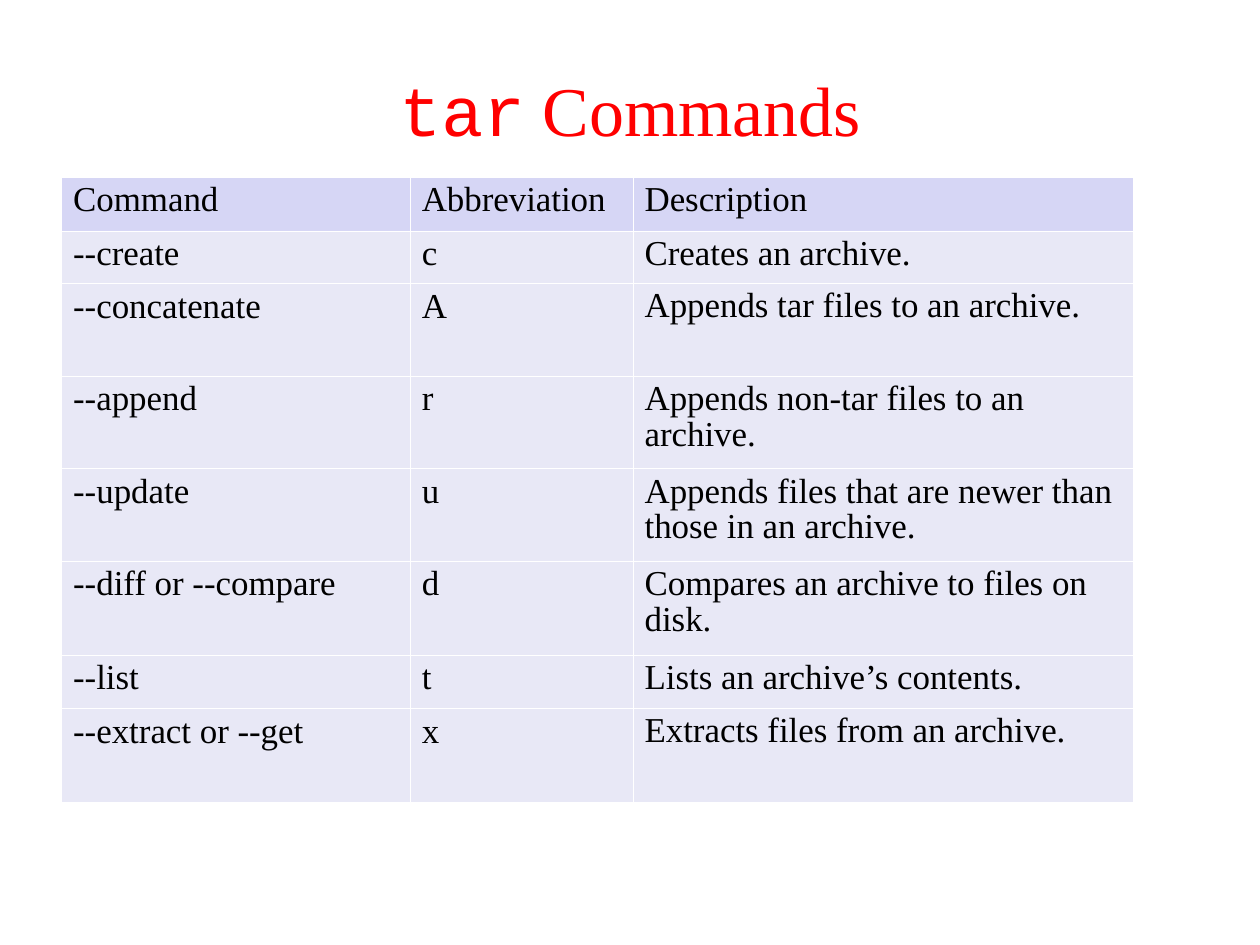
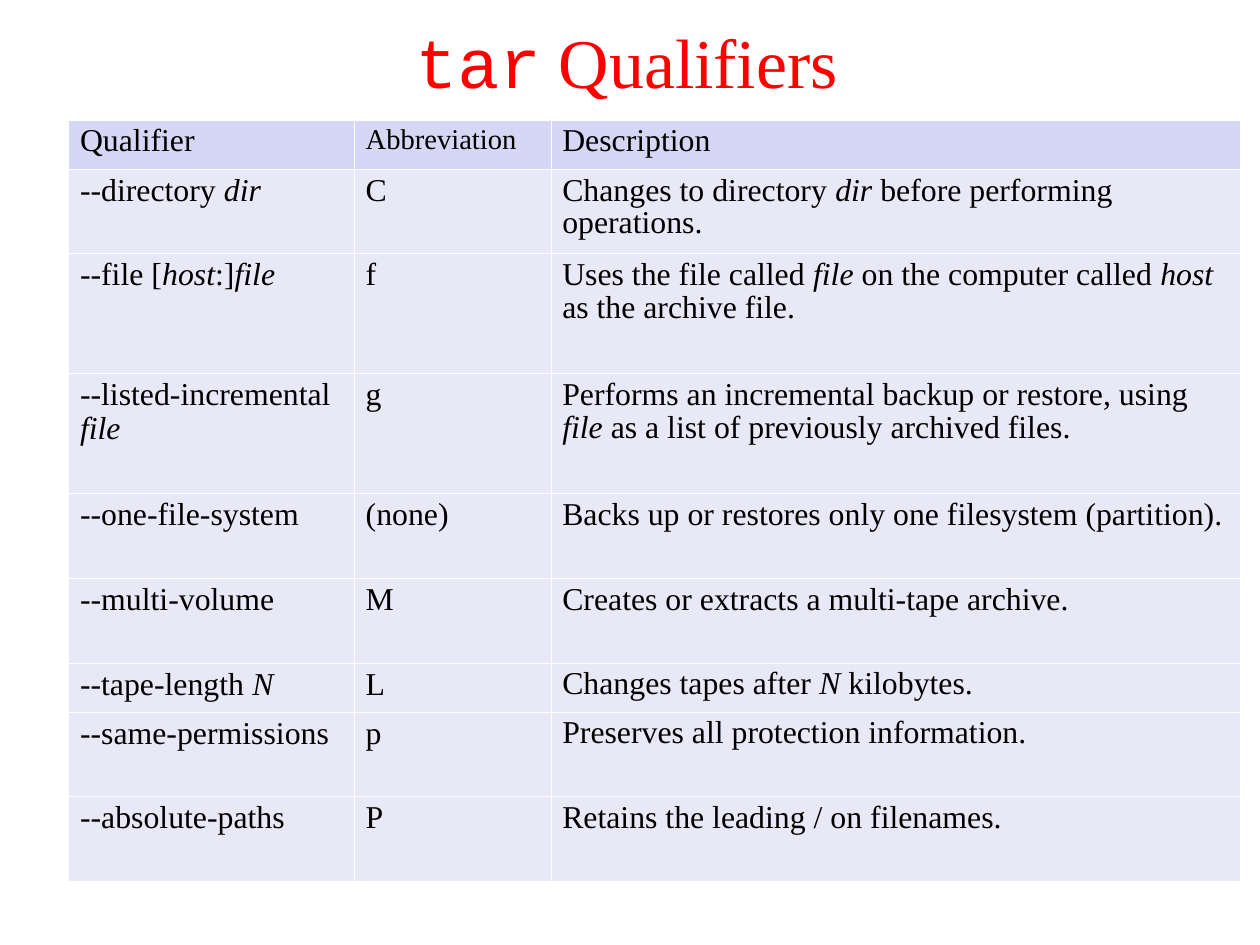
from lxml.etree import SubElement
from pptx import Presentation
from pptx.dml.color import RGBColor
from pptx.enum.text import MSO_ANCHOR, MSO_AUTO_SIZE, PP_ALIGN
from pptx.oxml.ns import qn
from pptx.util import Inches, Pt

# Shared look
COLORS = {"title": "FF0000", "text": "000000", "head": "D6D6F5",
          "body": "E8E8F6", "border": "FFFFFF"}
SERIF, MONO = "Times New Roman", "Courier New"
PAGE_SIZE = (793.75, 595.25)  # points, 28 by 21 cm
TITLE_SIZE = (9.41, 0.73)
TIGHT, LOOSE = 0.93, 0.94

# Slide content: asterisks enclose italic words
COMMANDS = [
    ("Command", "Abbreviation", "Description"),
    ("--create", "c", "Creates an archive."),
    ("--concatenate", "A", "Appends tar files to an archive."),
    ("--append", "r", "Appends non-tar files to an archive."),
    ("--update", "u", "Appends files that are newer than those in an archive."),
    ("--diff or --compare", "d", "Compares an archive to files on disk."),
    ("--list", "t", "Lists an archive’s contents."),
    ("--extract or --get", "x", "Extracts files from an archive."),
]
QUALIFIERS = [
    ("Qualifier", "Abbreviation", "Description"),
    ("--directory *dir*", "C",
     "Changes to directory *dir* before performing operations."),
    ("--file [*host*:]*file*", "f",
     "Uses the file called *file* on the computer called *host* as the archive file."),
    ("--listed-incremental *file*", "g",
     "Performs an incremental backup or restore, using *file* as a list of "
     "previously archived files."),
    ("--one-file-system", "(none)",
     "Backs up or restores only one filesystem (partition)."),
    ("--multi-volume", "M", "Creates or extracts a multi-tape archive."),
    ("--tape-length *N*", "L", "Changes tapes after *N* kilobytes."),
    ("--same-permissions", "p", "Preserves all protection information."),
    ("--absolute-paths", "P", "Retains the leading / on filenames."),
]


def add_run(para, text, color, **style):
    run = para.add_run()
    run.text = text
    for name, value in style.items():
        setattr(run.font, name, value)
    run.font.color.rgb = RGBColor.from_string(COLORS[color])


def set_title(slide, word, left, top):
    title = slide.shapes.title
    width, height = TITLE_SIZE
    place = {"left": left, "top": top, "width": width, "height": height}
    for name, value in place.items():
        setattr(title, name, Inches(value))
    frame = title.text_frame
    format = {"margin_left": 0, "margin_right": 0, "margin_bottom": 0,
              "margin_top": Inches(0.04), "word_wrap": True,
              "auto_size": MSO_AUTO_SIZE.NONE,
              "vertical_anchor": MSO_ANCHOR.MIDDLE}
    for name, value in format.items():
        setattr(frame, name, value)
    para = frame.paragraphs[0]
    para.alignment = PP_ALIGN.CENTER
    para.line_spacing = LOOSE
    for text, font in (("tar", MONO), (f" {word}", SERIF)):
        add_run(para, text, "title", name=font, size=Pt(44))


def add_borders(cell):
    props = cell._tc.get_or_add_tcPr()
    for side in ("lnL", "lnR", "lnT", "lnB"):
        line = SubElement(props, qn(f"a:{side}"), w=str(Pt(0.45)))
        fill = SubElement(line, qn("a:solidFill"))
        SubElement(fill, qn("a:srgbClr"), val=COLORS["border"])


def fill_cell(cell, text, size, shade, spacing):
    add_borders(cell)
    cell.fill.solid()
    cell.fill.fore_color.rgb = RGBColor.from_string(COLORS[shade])
    para = cell.text_frame.paragraphs[0]
    para.line_spacing = spacing
    for index, part in enumerate(text.split("*")):
        if part:
            add_run(para, part, "text", name=SERIF, size=Pt(size),
                    bold=False, italic=index % 2 == 1)


def add_grid(slide, rows, left, top, widths, heights, size, label):
    """Draw the table; label is the text size of the middle heading."""
    frame = slide.shapes.add_table(
        len(rows), len(widths), Inches(left), Inches(top),
        Inches(sum(widths)), Inches(sum(heights)))
    table = frame.table
    table.horz_banding = False
    for column, width in zip(table.columns, widths):
        column.width = Inches(width)
    for row, height in zip(table.rows, heights):
        row.height = Inches(height)
    for r, texts in enumerate(rows):
        shade = "body" if r else "head"
        for c, text in enumerate(texts):
            spacing = LOOSE if r and c < 2 else TIGHT
            points = label if (r, c) == (0, 1) else size
            fill_cell(table.cell(r, c), text, points, shade, spacing)


def main():
    deck = Presentation()
    deck.slide_width, deck.slide_height = map(Pt, PAGE_SIZE)
    layout = deck.slide_layouts.get_by_name("Title Only")

    # Commands
    slide = deck.slides.add_slide(layout)
    set_title(slide, "Commands", 0.81, 0.6)
    add_grid(slide, COMMANDS, 0.54, 1.55, (3.05, 1.95, 4.38),
             (0.47, 0.46, 0.81, 0.81, 0.81, 0.82, 0.47, 0.82), 22, 22)

    # Qualifiers
    slide = deck.slides.add_slide(layout)
    set_title(slide, "Qualifiers", 0.78, 0.18)
    add_grid(slide, QUALIFIERS, 0.6, 1.05, (2.5, 1.72, 6.03),
             (0.43, 0.74, 1.05, 1.05, 0.74, 0.74, 0.43, 0.74, 0.74), 20, 18)

    deck.save("out.pptx")


if __name__ == "__main__":
    main()
